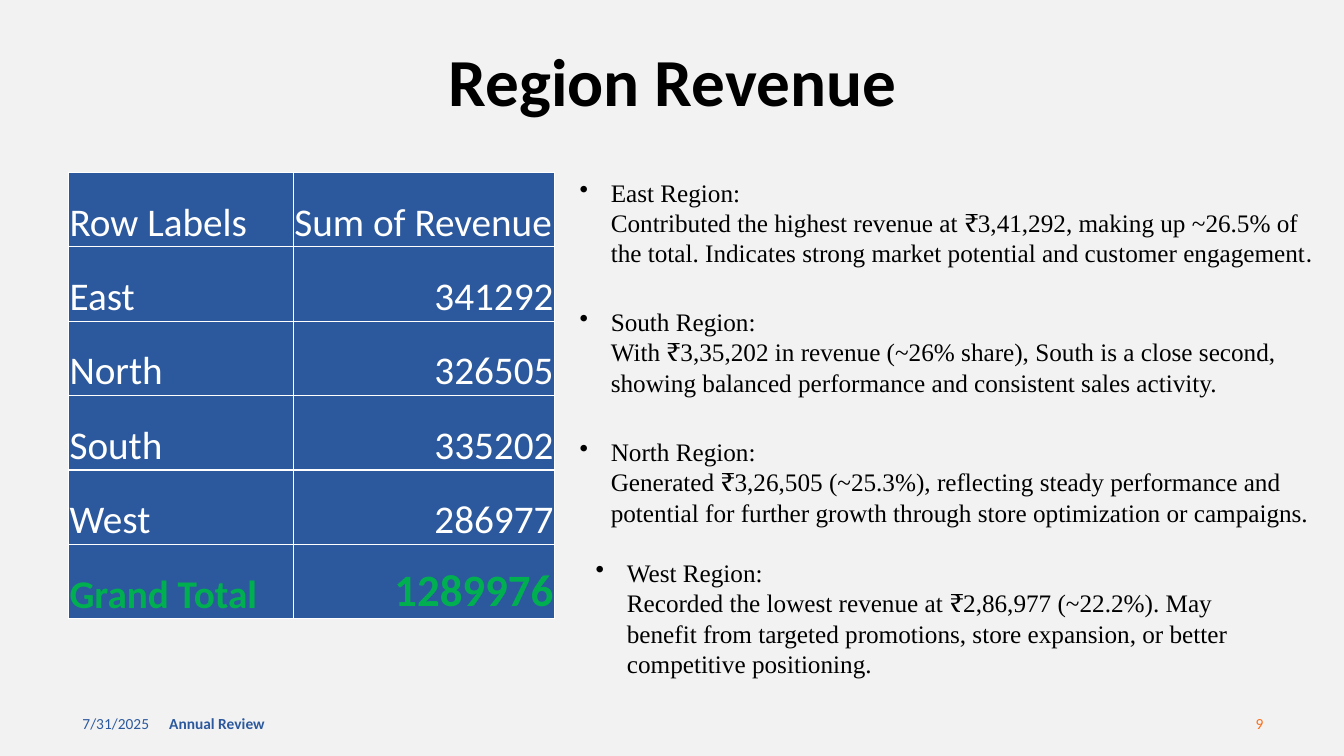
from lxml.etree import SubElement
from pptx import Presentation
from pptx.dml.color import RGBColor as Rgb
from pptx.enum.text import MSO_ANCHOR as Anchor, MSO_AUTO_SIZE as Fit, PP_ALIGN as Align
from pptx.oxml.ns import qn
from pptx.util import Inches, Pt

COLORS = {"back": "F2F2F2", "blue": "2C599D", "orange": "FA6F1A",
          "black": "000000", "white": "FFFFFF", "green": "00B050"}
SANS, SERIF = "Calibri", "Times New Roman"

ROWS = [("Row Labels", "Sum of Revenue"), ("East", "341292"), ("North", "326505"),
        ("South", "335202"), ("West", "286977"), ("Grand Total", "1289976")]

# left, top, width, height, text
NOTES = [
    (5.65, 1.71, 7.56, 1.01,
     "East Region:\nContributed the highest revenue at ₹3,41,292, making up ~26.5% of "
     "the total. Indicates strong market potential and customer engagement"),
    (5.65, 2.99, 7.44, 1.01,
     "South Region:\nWith ₹3,35,202 in revenue (~26% share), South is a close second, "
     "showing balanced performance and consistent sales activity."),
    (5.65, 4.28, 7.44, 1.01,
     "North Region:\nGenerated ₹3,26,505 (~25.3%), reflecting steady performance and "
     "potential for further growth through store optimization or campaigns."),
    (5.81, 5.48, 6.67, 1.31,
     "West Region:\nRecorded the lowest revenue at ₹2,86,977 (~22.2%). May benefit from "
     "targeted promotions, store expansion, or better competitive positioning."),
]


class Deck:
    def __init__(self):
        self.prs = Presentation()
        self.prs.slide_width, self.prs.slide_height = Inches(13.33), Inches(7.5)
        self.slide = self.prs.slides.add_slide(self.prs.slide_layouts[6])
        fill = self.slide.background.fill
        fill.solid()
        fill.fore_color.rgb = self.color("back")

    def color(self, name):
        return Rgb.from_string(COLORS[name])

    def style(self, para, size, color, face=SANS, bold=False):
        for run in para.runs:
            font = run.font
            font.name, font.size, font.bold = face, Pt(size), bold
            font.color.rgb = self.color(color)

    def text(self, box, text, size, color, face=SANS, bold=False,
             align=Align.LEFT, anchor=Anchor.MIDDLE):
        frame = self.slide.shapes.add_textbox(*map(Inches, box)).text_frame
        frame.word_wrap, frame.vertical_anchor = True, anchor
        para = frame.paragraphs[0]
        para.text, para.alignment = text, align
        self.style(para, size, color, face, bold)
        return frame

    def note(self, box, text):
        """Add a bulleted remark that grows with its text."""
        frame = self.text(box, text, 18, "black", SERIF, anchor=Anchor.TOP)
        frame.auto_size = Fit.SHAPE_TO_FIT_TEXT
        para = frame.paragraphs[0]
        props = para._p.get_or_add_pPr()
        props.set("marL", str(Inches(0.31)))
        props.set("indent", str(Inches(-0.31)))
        SubElement(props, qn("a:buChar")).set("char", "•")
        return para

    def cell(self, cell, text, size, color, bold, align):
        cell.fill.solid()
        cell.fill.fore_color.rgb = self.color("blue")
        cell.margin_left = cell.margin_right = cell.margin_top = Inches(0.01)
        cell.margin_bottom = 0
        cell.vertical_anchor = Anchor.BOTTOM
        para = cell.text_frame.paragraphs[0]
        para.text, para.alignment = text, align
        self.style(para, size, color, bold=bold)

    def table(self, box, widths, rows):
        shape = self.slide.shapes.add_table(len(rows), len(widths), *map(Inches, box))
        table = shape.table
        table.first_row = table.horz_banding = False
        for col, width in zip(table.columns, widths):
            col.width = Inches(width)
        for r, row in enumerate(rows):
            total = r == len(rows) - 1
            for c, text in enumerate(row):
                self.cell(table.cell(r, c), text, 32 if total and c else 28,
                          "green" if total else "white", total,
                          Align.RIGHT if r and c else Align.LEFT)


def main():
    deck = Deck()
    deck.text((0.72, 6.98, 3, 0.4), "7/31/2025", 11, "blue")
    deck.text((1.58, 6.98, 4.5, 0.4), "Annual Review", 11, "blue", bold=True)
    deck.text((9.63, 6.98, 3, 0.4), "9", 11, "orange", align=Align.RIGHT)
    title = deck.text((0.47, 0.46, 12.4, 0.77), "Region Revenue", 48, "black",
                      bold=True, align=Align.CENTER)
    title.paragraphs[0].line_spacing = 0.9
    deck.table((0.68, 1.71, 4.82, 4.43), (2.23, 2.59), ROWS)
    paras = [deck.note(box, text) for *box, text in NOTES]
    stop = paras[0].add_run()
    stop.text = "."
    stop.font.name, stop.font.size = SANS, Pt(18)
    stop.font.color.rgb = deck.color("black")
    deck.prs.save("out.pptx")


if __name__ == "__main__":
    main()
